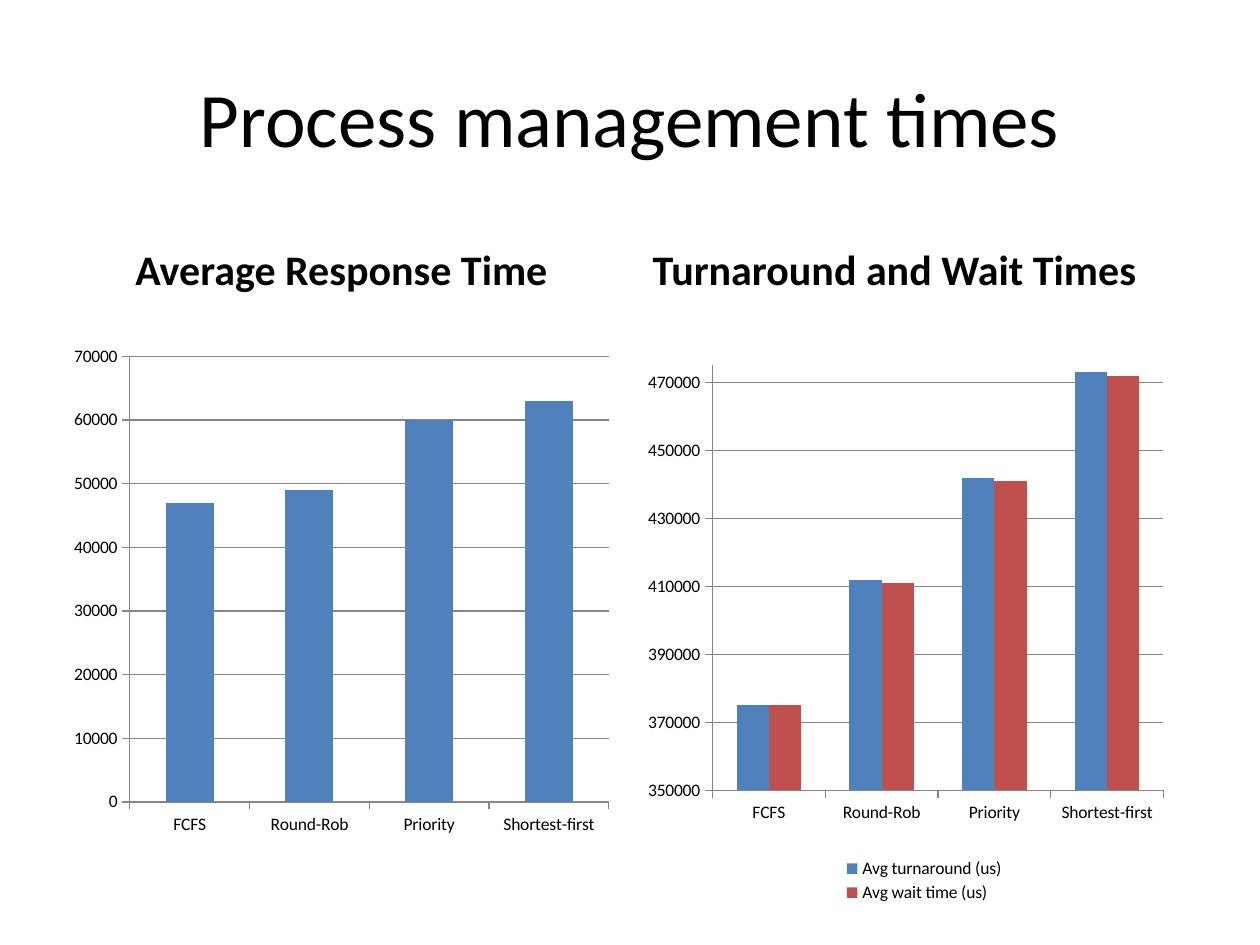
import pptx
import pptx.chart.data
import pptx.dml.color
import pptx.enum.chart
import pptx.enum.text
import pptx.oxml
import pptx.oxml.ns
import pptx.util

PX = 9144
BLACK = pptx.dml.color.RGBColor(0x00, 0x00, 0x00)
BLUE = pptx.dml.color.RGBColor(0x4F, 0x81, 0xBD)
RED = pptx.dml.color.RGBColor(0xC0, 0x50, 0x4D)
GRAY = pptx.dml.color.RGBColor(0x86, 0x86, 0x86)
FONT = "Calibri"
SCHEDULERS = ["FCFS", "Round-Rob", "Priority", "Shortest-first"]
CENTER = pptx.enum.text.PP_ALIGN.CENTER
LEFT = pptx.enum.text.PP_ALIGN.LEFT
MIDDLE = pptx.enum.text.MSO_ANCHOR.MIDDLE
BOTTOM = pptx.enum.text.MSO_ANCHOR.BOTTOM


def apply(target, formats):
    """Set every attribute named in formats on target."""
    for attribute, value in formats.items():
        setattr(target, attribute, value)


def emu(*lengths):
    """Turn px lengths into EMU."""
    return [length * PX for length in lengths]


def fill_heading(heading, box, wording, size, bold, align, anchor):
    """Move a text placeholder to box and give it formatted wording."""
    apply(heading, dict(zip(("left", "top", "width", "height"), emu(*box))))
    frame = heading.text_frame
    frame.text = wording
    apply(frame, {"vertical_anchor": anchor, "word_wrap": True})
    paragraph = frame.paragraphs[0]
    paragraph.alignment = align
    font = paragraph.runs[0].font
    apply(font, {"name": FONT, "size": pptx.util.Pt(size), "bold": bold})
    font.color.rgb = BLACK


def set_layout(parent, index, fractions, target=""):
    """Give a plot area or legend a manual layout in fractions of the chart."""
    for former in parent.findall(pptx.oxml.ns.qn("c:layout")):
        parent.remove(former)
    modes = '<c:xMode val="edge"/><c:yMode val="edge"/>'
    sides = "".join(f'<c:{side} val="{value}"/>' for side, value in zip("xywh", fractions))
    parent.insert(index, pptx.oxml.parse_xml(
        f'<c:layout {pptx.oxml.ns.nsdecls("c")}><c:manualLayout>'
        f"{target}{modes}{sides}</c:manualLayout></c:layout>"))


def add_times_chart(slide, box, series, scale):
    """Add a clustered column chart of scheduler times in box."""
    times = pptx.chart.data.CategoryChartData()
    times.categories = SCHEDULERS
    for name, values, _ in series:
        times.add_series(name, values)
    kind = pptx.enum.chart.XL_CHART_TYPE.COLUMN_CLUSTERED
    chart = slide.shapes.add_chart(kind, *emu(*box), times).chart
    apply(chart, {"has_title": False, "has_legend": False})
    apply(chart.font, {"name": FONT, "size": pptx.util.Pt(10)})
    chart.font.color.rgb = BLACK
    apply(chart.plots[0], {"gap_width": 150, "vary_by_categories": False})
    for bars, (_, _, color) in zip(chart.plots[0].series, series):
        bars.format.fill.solid()
        bars.format.fill.fore_color.rgb = color
    outside = pptx.enum.chart.XL_TICK_MARK.OUTSIDE
    for axis in (chart.category_axis, chart.value_axis):
        axis.major_tick_mark = outside
        axis.format.line.color.rgb = GRAY
    apply(chart.value_axis, {"has_major_gridlines": True, **scale})
    chart.value_axis.major_gridlines.format.line.color.rgb = GRAY
    return chart


def add_legend(chart):
    """Place the plot and, below it, a stacked legend."""
    chart.has_legend = True
    apply(chart.legend, {"position": pptx.enum.chart.XL_LEGEND_POSITION.RIGHT,
                         "include_in_layout": False})
    set_layout(chart.legend._element, 1, (0.36, 0.89, 0.3, 0.09))
    set_layout(chart.plots[0]._element.getparent(), 0, (0.13, 0.05, 0.81, 0.73),
               '<c:layoutTarget val="inner"/>')


def build_column(slide, heading, box, wording, align, chart_height, series, scale):
    """Build one half of the comparison: a heading above its chart."""
    left, top, width = box
    fill_heading(heading, (left, top, width, 70), wording, 24, True, align, BOTTOM)
    return add_times_chart(slide, (left, top + 99, width, chart_height), series, scale)


def main():
    """Build and save the slide."""
    deck = pptx.Presentation()
    apply(deck, dict(zip(("slide_width", "slide_height"), emu(1000, 750))))
    slide = deck.slides.add_slide(deck.slide_layouts[4])
    title, response, response_body, turnaround, turnaround_body = slide.placeholders
    for unused in (response_body, turnaround_body):
        unused._element.getparent().remove(unused._element)
    fill_heading(title, (50, 30, 900, 125), "Process management times", 44, False, CENTER, MIDDLE)
    build_column(slide, response, (50, 168, 442), "Average Response Time", CENTER, 403,
                 [("Series 1", (47000, 49000, 60000, 63000), BLUE)],
                 {"minimum_scale": 0, "maximum_scale": 70000, "major_unit": 10000})
    turnaround_chart = build_column(
        slide, turnaround, (508, 168, 442), "Turnaround and Wait Times", LEFT, 462,
        [("Avg turnaround (us)", (375000, 412000, 442000, 473000), BLUE),
         ("Avg wait time (us)", (375000, 411000, 441000, 472000), RED)],
        {"minimum_scale": 350000, "maximum_scale": 475000, "major_unit": 20000})
    add_legend(turnaround_chart)
    deck.save("out.pptx")


if __name__ == "__main__":
    main()
